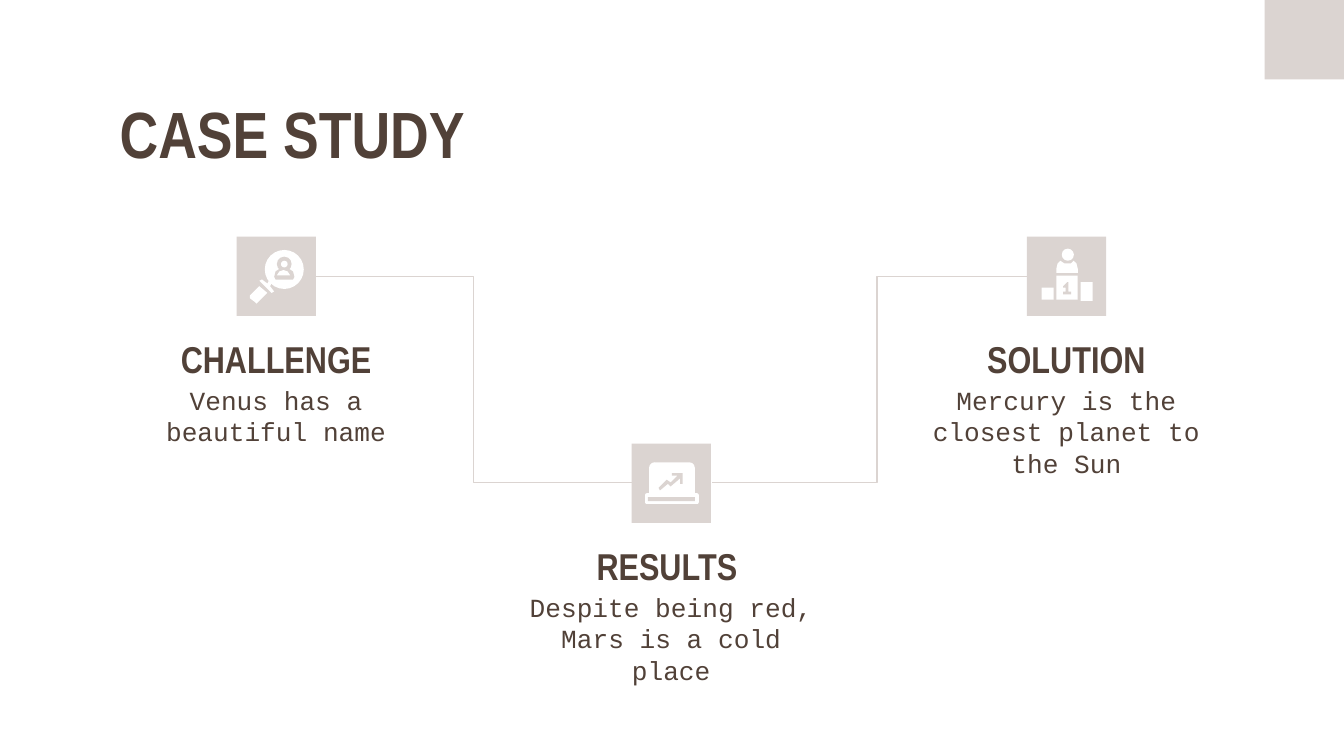
"""Build the case study slide with three linked steps."""
from dataclasses import dataclass

import lxml.etree
import pptx
import pptx.dml.color
import pptx.enum.shapes
import pptx.enum.text
import pptx.oxml.ns
import pptx.util

Inches = pptx.util.Inches
Kind = pptx.enum.shapes.MSO_SHAPE
Align = pptx.enum.text.PP_ALIGN
COLORS = {"rose": "DBD4D1", "brown": "514138", "white": "FFFFFF"}
HEAD, BODY = "Arial Narrow", "Courier New"
SIDE, WIDE = 0.59, 2.53


@dataclass
class Step:
    head: str
    text: str
    left: float
    top: float


@dataclass
class Part:
    kind: Kind
    box: tuple
    color: str = "white"


@dataclass
class Shard:
    points: list
    color: str = "white"


STEPS = [
    Step("CHALLENGE", "Venus has a beautiful name", 0.79, 1.76),
    Step("RESULTS ", "Despite being red, Mars is a cold place", 3.73, 3.3),
    Step("SOLUTION", "Mercury is the closest planet to the Sun", 6.67, 1.76),
]
LINKS = [((2.35, 2.06), (4.7, 3.59)), ((7.75, 2.06), (5.3, 3.59))]
SEARCH = [
    Part(Kind.OVAL, (1.97, 1.86, 0.29, 0.29)),
    Part(Kind.OVAL, (2.06, 1.91, 0.11, 0.11), "rose"),
    Shard([(2.08, 2), (2.15, 2), (2.18, 2.02), (2.19, 2.06),
           (2.18, 2.08), (2.05, 2.08), (2.04, 2.06), (2.05, 2.02)], "rose"),
    Part(Kind.OVAL, (2.09, 1.94, 0.05, 0.05)),
    Shard([(2.11, 2.01), (2.14, 2.02), (2.16, 2.05), (2.06, 2.05),
           (2.08, 2.02)]),
    Shard([(1.93, 2.09), (1.95, 2.08), (1.99, 2.11), (2, 2.09),
           (2.02, 2.11), (2.01, 2.13), (2.04, 2.17), (2.02, 2.18)]),
    Shard([(1.93, 2.13), (1.99, 2.18), (1.92, 2.25), (1.91, 2.26),
           (1.9, 2.25), (1.86, 2.22), (1.86, 2.2)]),
]
LAPTOP = [
    Part(Kind.ROUND_2_SAME_RECTANGLE, (4.83, 3.44, 0.34, 0.24)),
    Part(Kind.ROUNDED_RECTANGLE, (4.8, 3.67, 0.4, 0.08)),
    Part(Kind.RECTANGLE, (4.82, 3.7, 0.35, 0.03), "rose"),
    Shard([(4.9, 3.63), (4.96, 3.57), (4.99, 3.59), (5.04, 3.54),
           (5, 3.54), (5, 3.52), (5.08, 3.52), (5.08, 3.6),
           (5.06, 3.6), (5.06, 3.56), (4.99, 3.62), (4.97, 3.6),
           (4.91, 3.65)], "rose"),
]
WINNER = [
    Part(Kind.OVAL, (7.9, 1.85, 0.09, 0.09)),
    Shard([(7.89, 1.94), (7.92, 1.96), (7.97, 1.96), (7.99, 1.94),
           (8.01, 1.96), (8.02, 2), (8.02, 2.03), (7.86, 2.03),
           (7.86, 2), (7.87, 1.96)]),
    Part(Kind.RECTANGLE, (8.04, 2.1, 0.09, 0.14)),
    Part(Kind.RECTANGLE, (7.75, 2.14, 0.09, 0.09)),
    Part(Kind.RECTANGLE, (7.86, 2.05, 0.16, 0.18)),
    Shard([(7.94, 2.1), (7.95, 2.1), (7.95, 2.17), (7.97, 2.17),
           (7.97, 2.19), (7.91, 2.19), (7.91, 2.17), (7.93, 2.17),
           (7.93, 2.14), (7.91, 2.14), (7.91, 2.13)], "rose"),
]


def tint(name: str) -> pptx.dml.color.RGBColor:
    """Return the named color."""
    return pptx.dml.color.RGBColor.from_string(COLORS[name])


def paint(shape, color: str) -> None:
    """Give a shape a flat fill with no line or shadow."""
    shape.shadow.inherit = False
    shape.fill.solid()
    shape.fill.fore_color.rgb = tint(color)
    shape.line.fill.background()


def draw(slide, item: Part | Shard) -> None:
    """Draw a preset part or a straight-edged shard."""
    if isinstance(item, Part):
        shape = slide.shapes.add_shape(item.kind, *map(Inches, item.box))
    else:
        first, *rest = [(Inches(x), Inches(y)) for x, y in item.points]
        pen = slide.shapes.build_freeform(*first)
        pen.add_line_segments(rest)
        shape = pen.convert_to_shape()
    paint(shape, item.color)


def write(shape, text: str, size: int, font: str, align: Align) -> None:
    """Write one styled run into a shape."""
    frame = shape.text_frame
    frame.word_wrap = True
    frame.auto_size = pptx.enum.text.MSO_AUTO_SIZE.NONE
    frame.vertical_anchor = pptx.enum.text.MSO_ANCHOR.TOP
    frame.margin_left = frame.margin_right = Inches(0.1)
    frame.margin_top = frame.margin_bottom = Inches(0.1)
    para = frame.paragraphs[0]
    para.alignment = align
    run = para.add_run()
    run.text = text
    run.font.name = font
    run.font.size = pptx.util.Pt(size)
    run.font.bold = font == HEAD
    run.font.color.rgb = tint("brown")


def label(slide, step: Step) -> None:
    """Write the heading and text below a step's square."""
    rows = [(0.64, 0.47, step.head, 20, HEAD), (1, 0.66, step.text, 14, BODY)]
    for drop, high, text, size, font in rows:
        box = slide.shapes.add_textbox(
            *map(Inches, (step.left, step.top + drop, WIDE, high)))
        write(box, text, size, font, Align.CENTER)


def link(slide, start: tuple, end: tuple) -> None:
    """Join two squares with a thin elbow line."""
    line = slide.shapes.add_connector(
        pptx.enum.shapes.MSO_CONNECTOR.ELBOW, *map(Inches, start + end))
    line.line.color.rgb = tint("rose")
    line.line.width = pptx.util.Pt(0.75)
    props = line._element.spPr
    lxml.etree.SubElement(props, pptx.oxml.ns.qn("a:effectLst"))


def main() -> None:
    """Build and save the slide."""
    deck = pptx.Presentation()
    deck.slide_width = Inches(10)
    deck.slide_height = deck.slide_width * 9 // 16
    slide = deck.slides.add_slide(deck.slide_layouts[5])
    title = slide.shapes.title
    title.left, title.top = Inches(0.79), Inches(0.59)
    title.width, title.height = Inches(4.37), Inches(0.66)
    write(title, "CASE STUDY", 35, HEAD, Align.LEFT)
    draw(slide, Part(Kind.RECTANGLE, (10 - SIDE, 0, SIDE, SIDE), "rose"))
    for start, end in LINKS:
        link(slide, start, end)
    for step, icon in zip(STEPS, (SEARCH, LAPTOP, WINNER)):
        left = step.left + (WIDE - SIDE) / 2
        draw(slide, Part(Kind.RECTANGLE, (left, step.top, SIDE, SIDE), "rose"))
        for item in icon:
            draw(slide, item)
        label(slide, step)
    deck.save("out.pptx")


if __name__ == "__main__":
    main()
